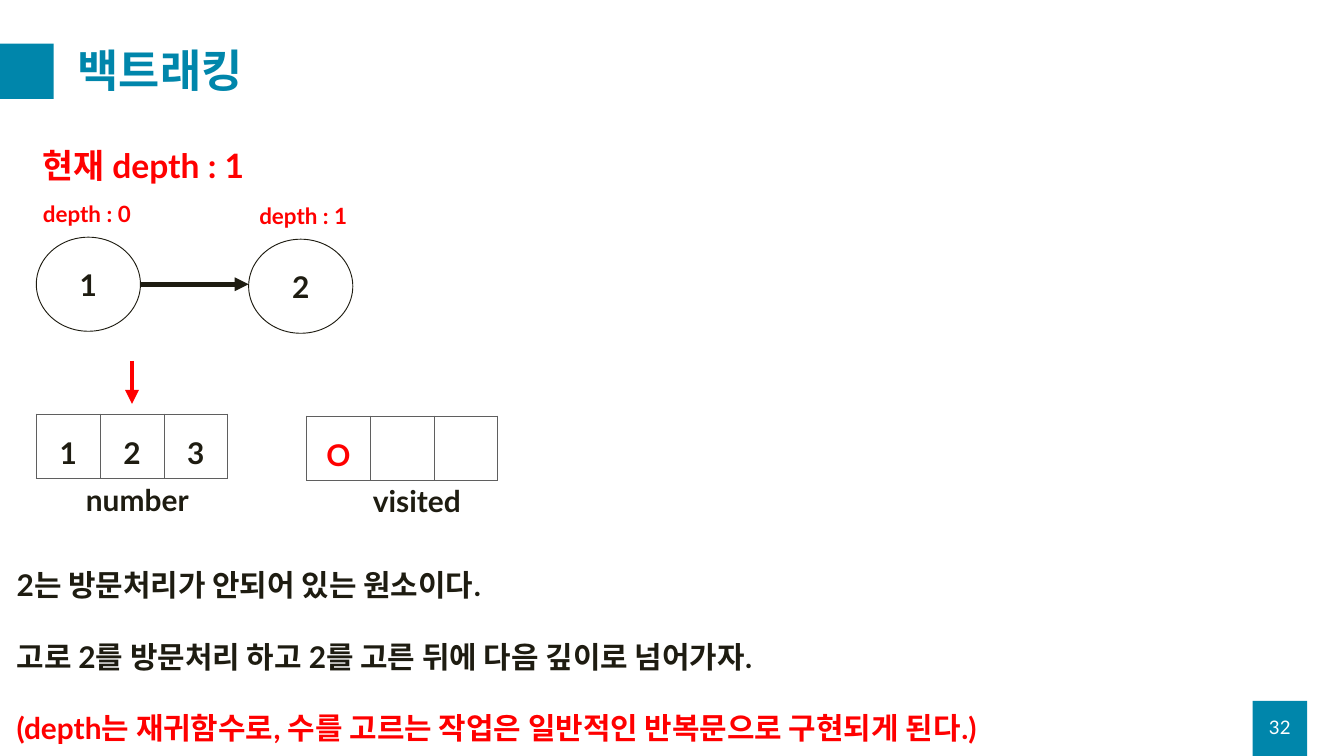
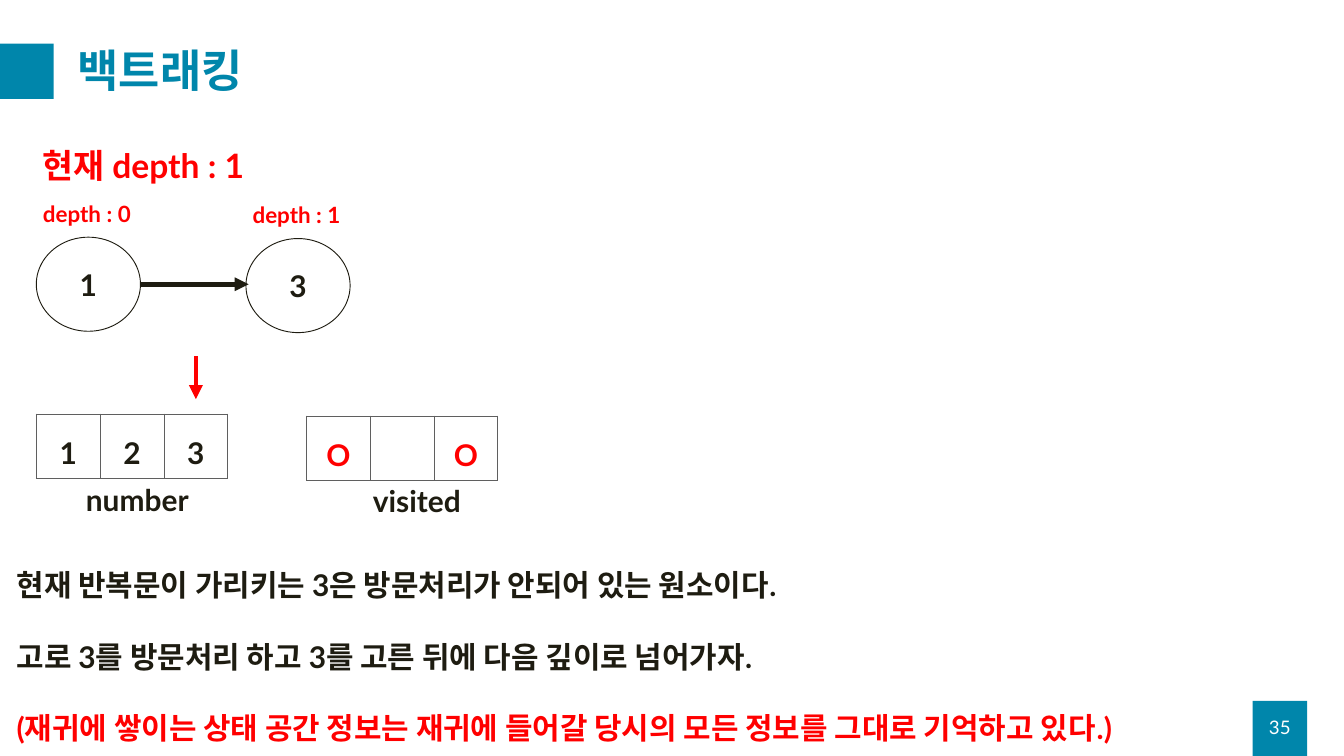
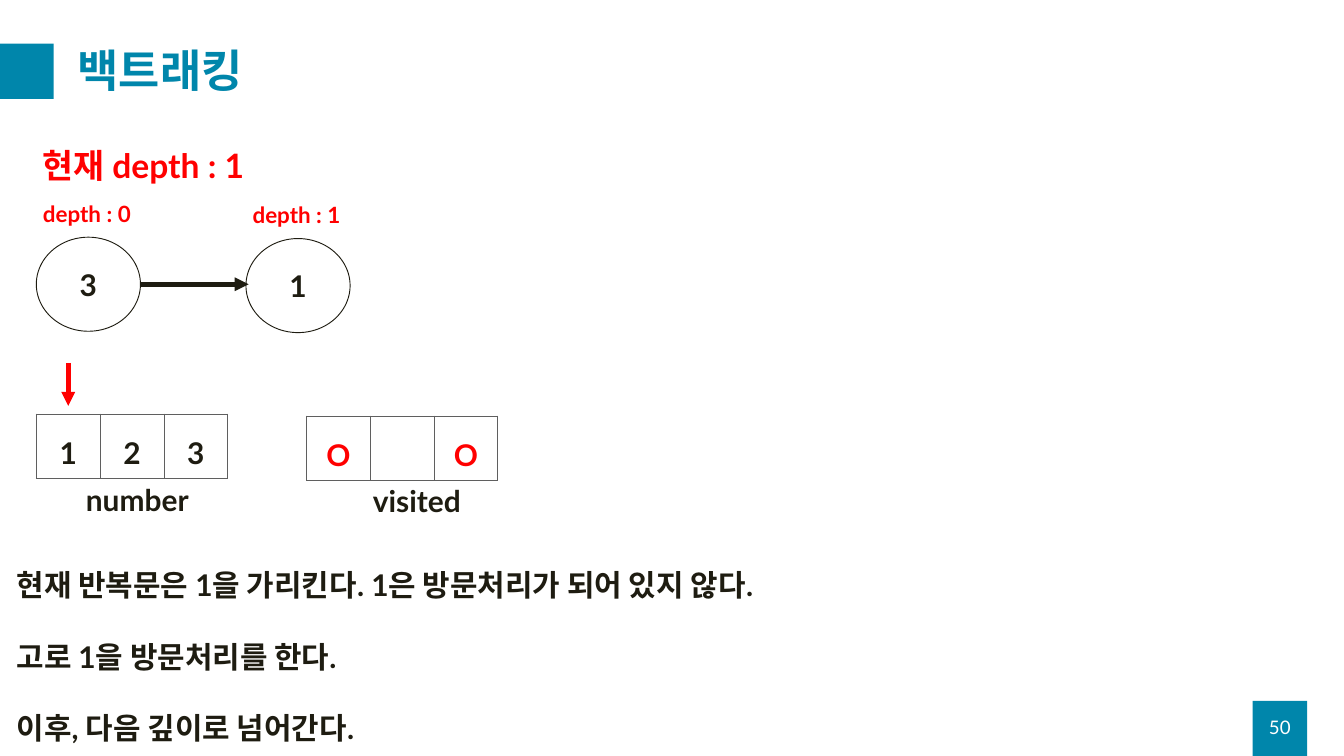
from lxml.etree import SubElement
from pptx import Presentation
from pptx.dml.color import RGBColor
from pptx.enum.shapes import MSO_CONNECTOR, MSO_SHAPE
from pptx.enum.text import MSO_ANCHOR, MSO_AUTO_SIZE, PP_ALIGN
from pptx.oxml import parse_xml
from pptx.oxml.ns import nsdecls, qn
from pptx.util import Inches, Pt

TEAL, INK, RED, WHITE, GRAY = "0086AB", "1E1C11", "FF0000", "FFFFFF", "5F5F5F"
COLS, ROWS = 20, 11.25
CELL = 0.95
ARRAY_X, NODE_X, NODE_Y = 0.54, 0.54, 3.53
NODE_W, NODE_H = 1.55, 1.4


def rgb(value):
    """Turn a hex string into a colour."""
    return RGBColor.from_string(value)


class Deck:
    """Hold the presentation, its style and the current slide."""

    font = "Lato"

    def __init__(self):
        """Start an empty deck whose grid units are one inch."""
        self.prs = Presentation()
        self.prs.slide_width, self.prs.slide_height = Inches(COLS), Inches(ROWS)

    def grid(self, *units):
        """Convert columns and rows into lengths."""
        return [Inches(u) for u in units]

    def run(self, p, text, size=32, color=INK, bold=True, **fmt):
        """Put one formatted run into a paragraph."""
        for key, value in fmt.items():
            setattr(p, key, value)
        r = p.add_run()
        r.text = text
        for key, value in dict(name=self.font, size=Pt(size), bold=bold).items():
            setattr(r.font, key, value)
        r.font.color.rgb = rgb(color)

    def text(self, at, *lines, anchor=MSO_ANCHOR.TOP, gap=0, **fmt):
        """Add a text box with one paragraph per (text, colour) line."""
        tf = self.s.shapes.add_textbox(*self.grid(*at)).text_frame
        fit = MSO_AUTO_SIZE.SHAPE_TO_FIT_TEXT if anchor == MSO_ANCHOR.TOP else MSO_AUTO_SIZE.NONE
        for key, value in dict(word_wrap=True, auto_size=fit, vertical_anchor=anchor).items():
            setattr(tf, key, value)
        for i, (line, color) in enumerate(lines):
            p = tf.add_paragraph() if i else tf.paragraphs[0]
            if i:
                p.space_before = Pt(gap)
            self.run(p, line, color=color, **fmt)

    def shape(self, kind, at, fill, line=None):
        """Add a flat preset shape."""
        sp = self.s.shapes.add_shape(kind, *self.grid(*at))
        sp.shadow.inherit = False
        sp.fill.solid()
        sp.fill.fore_color.rgb = rgb(fill)
        if line:
            sp.line.color.rgb = rgb(line)
            sp.line.width = Pt(1)
        else:
            sp.line.fill.background()
        return sp

    def node(self, x, y, value):
        """Add a circled number."""
        sp = self.shape(MSO_SHAPE.OVAL, (x, y, NODE_W, NODE_H), WHITE, INK)
        sp.text_frame.vertical_anchor = MSO_ANCHOR.MIDDLE
        self.run(sp.text_frame.paragraphs[0], value, alignment=PP_ALIGN.CENTER)

    def arrow(self, start, end, color):
        """Add a thick straight arrow."""
        cx = self.s.shapes.add_connector(MSO_CONNECTOR.STRAIGHT, *self.grid(*start, *end))
        cx.line.color.rgb = rgb(color)
        cx.line.width = Pt(5)
        SubElement(cx.line._get_or_add_ln(), qn("a:tailEnd"), type="triangle")
        SubElement(cx._element.spPr, qn("a:effectLst"))

    def array(self, x, y, values, color=INK):
        """Add a one-row table of square cells."""
        n = len(values)
        tbl = self.s.shapes.add_table(1, n, *self.grid(x, y, n * CELL, 0.96)).table
        tbl.first_row = tbl.horz_banding = False
        for cell, value in zip(tbl.iter_cells(), values):
            cell.fill.solid()
            cell.fill.fore_color.rgb = rgb(WHITE)
            for i, side in enumerate("LRTB"):
                cell._tc.tcPr.insert(i, parse_xml(
                    f'<a:ln{side} {nsdecls("a")} w="12700"><a:solidFill>'
                    f'<a:srgbClr val="{GRAY}"/></a:solidFill></a:ln{side}>'))
            if value:
                self.run(cell.text_frame.paragraphs[0], value, color=color,
                         alignment=PP_ALIGN.CENTER, line_spacing=1.5)

    def slide(self, title, number):
        """Start a slide with its title, bands and page number."""
        self.s = self.prs.slides.add_slide(self.prs.slide_layouts[6])
        for x, y in ((18.64, 10.43), (-0.01, 0.65)):
            self.shape(MSO_SHAPE.RECTANGLE, (x, y, 0.81, 0.82), TEAL)
        self.text((1.06, 0.5, 18.25, 1.18), (title, TEAL), size=48,
                  anchor=MSO_ANCHOR.MIDDLE, line_spacing=0.9)
        self.text((18.64, 10.52, 0.81, 0.6), (number, WHITE), size=20, bold=False,
                  anchor=MSO_ANCHOR.MIDDLE, alignment=PP_ALIGN.CENTER)

    def step(self, number, chosen, visited, child, label_x, pointer, lines):
        """Add one backtracking step: chosen numbers, arrays and explanation."""
        self.slide("백트래킹", number)
        self.text((0.15, 8.38, 19.16, 2.79), *lines, gap=38.4)
        self.array(ARRAY_X, 6.16, "123")
        self.array(4.56, 6.19, visited, RED)
        for x, y, name in ((1.18, 7.12, "number"), (5.45, 7.14, "visited")):
            self.text((x, y, 1.97, 0.64), (name, INK))
        places = ((NODE_X, NODE_Y, NODE_X), (*child, label_x))
        for depth, (value, (x, y, lx)) in enumerate(zip(chosen, places)):
            self.text((lx, y - 0.6, NODE_W, 0.5), (f"depth : {depth}", RED), size=24)
            self.node(x, y, value)
        mid = NODE_Y + NODE_H / 2
        self.arrow((NODE_X + NODE_W, mid), (3.7, mid), INK)
        index, top = pointer
        x = ARRAY_X + CELL * (index + 0.5)
        self.arrow((x, top), (x, top + 0.64), RED)
        self.text((0.54, 2.11, 6.56, 0.71), ("현재 depth : 1", RED), size=36)


def main():
    """Build the three steps and save them."""
    deck = Deck()
    deck.step("32", "12", ["O", "", ""], (3.7, 3.56), 3.76, (1, 5.37), [
        ("2는 방문처리가 안되어 있는 원소이다.", INK),
        ("고로 2를 방문처리 하고 2를 고른 뒤에 다음 깊이로 넘어가자.", INK),
        ("(depth는 재귀함수로, 수를 고르는 작업은 일반적인 반복문으로 구현되게 된다.)", RED)])
    deck.step("35", "13", ["O", "", "O"], (3.66, 3.55), 3.66, (2, 5.3), [
        ("현재 반복문이 가리키는 3은 방문처리가 안되어 있는 원소이다.", INK),
        ("고로 3를 방문처리 하고 3를 고른 뒤에 다음 깊이로 넘어가자.", INK),
        ("(재귀에 쌓이는 상태 공간 정보는 재귀에 들어갈 당시의 모든 정보를 그대로 기억하고 있다.)", RED)])
    deck.step("50", "31", ["O", "", "O"], (3.66, 3.55), 3.66, (0, 5.4), [
        ("현재 반복문은 1을 가리킨다. 1은 방문처리가 되어 있지 않다.", INK),
        ("고로 1을 방문처리를 한다.", INK),
        ("이후, 다음 깊이로 넘어간다.", INK)])
    deck.prs.save("out.pptx")


if __name__ == "__main__":
    main()
